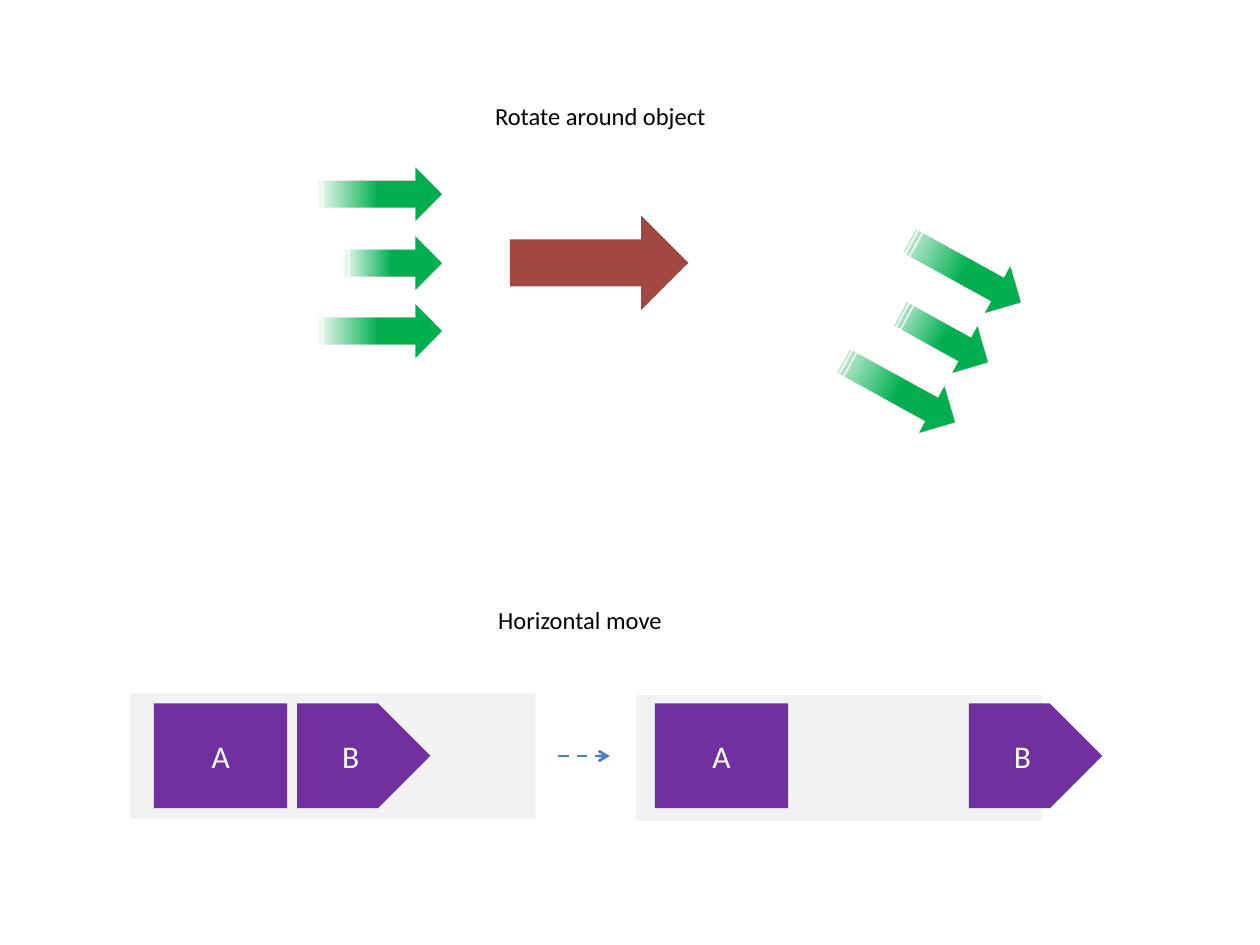
from math import cos, radians, sin

from lxml import etree
from pptx import Presentation
from pptx.dml.color import RGBColor
from pptx.enum.dml import MSO_LINE_DASH_STYLE as DASH
from pptx.enum.shapes import MSO_CONNECTOR, MSO_SHAPE as SHAPE
from pptx.enum.text import MSO_ANCHOR, MSO_AUTO_SIZE, PP_ALIGN
from pptx.oxml import parse_xml
from pptx.oxml.ns import nsdecls, qn
from pptx.util import Pt

FONT = "Calibri"
GREEN, PURPLE, RED = "00B050", "7030A0", "A34742"
GREY, BLUE, WHITE, BLACK = "F2F2F2", "4B7EBC", "FFFFFF", "000000"

ARROW_H, ARROW_STEP = 30.2, 39.2
ARROW_LENGTHS = (72, 56.9, 72)
BLOCK_TOP, BLOCK_W, BLOCK_H = 402, 76.2, 59.8


def color(hex_code):
    return RGBColor.from_string(hex_code)


def format_text(tf, size, hex_code):
    p = tf.paragraphs[0]
    p.font.name, p.font.size = FONT, Pt(size)
    p.font.color.rgb = color(hex_code)
    return p


def add_shape(slide, kind, x, y, w, h, fill=None, angle=0):
    sp = slide.shapes.add_shape(kind, Pt(x), Pt(y), Pt(w), Pt(h))
    sp.shadow.inherit = False
    sp.line.fill.background()
    sp.rotation = angle
    if fill:
        sp.fill.solid()
        sp.fill.fore_color.rgb = color(fill)
    return sp


def add_block(slide, kind, x, text):
    sp = add_shape(slide, kind, x, BLOCK_TOP, BLOCK_W, BLOCK_H, PURPLE)
    tf = sp.text_frame
    tf.text = text
    tf.vertical_anchor = MSO_ANCHOR.MIDDLE
    format_text(tf, 18, WHITE).alignment = PP_ALIGN.CENTER


def add_caption(slide, x, y, w, text):
    tf = slide.shapes.add_textbox(Pt(x), Pt(y), Pt(w), Pt(24.2)).text_frame
    tf.word_wrap = True
    tf.auto_size = MSO_AUTO_SIZE.SHAPE_TO_FIT_TEXT
    tf.text = text
    format_text(tf, 14, BLACK)


def fade_fill(sp, hex_code):
    """Solid from the tip to the middle, then fading out to the tail."""
    geometry = sp.element.spPr.find(qn("a:prstGeom"))
    geometry.addnext(parse_xml(
        f'<a:gradFill {nsdecls("a")} rotWithShape="1"><a:gsLst>'
        f'<a:gs pos="0"><a:srgbClr val="{hex_code}"/></a:gs>'
        f'<a:gs pos="50000"><a:srgbClr val="{hex_code}"/></a:gs>'
        f'<a:gs pos="100000"><a:srgbClr val="{hex_code}"><a:alpha val="0"/>'
        '</a:srgbClr></a:gs></a:gsLst>'
        '<a:lin ang="10800000" scaled="0"/></a:gradFill>'))


def add_fading_arrows(slide, tip_x, tip_y, angle=0):
    """Three arrows with aligned tips, turned together about the middle tip."""
    c, s = cos(radians(angle)), sin(radians(angle))
    for i, length in enumerate(ARROW_LENGTHS):
        dx, dy = -length / 2, (i - 1) * ARROW_STEP
        x = tip_x + dx * c - dy * s - length / 2
        y = tip_y + dx * s + dy * c - ARROW_H / 2
        sp = add_shape(slide, SHAPE.STRIPED_RIGHT_ARROW, x, y, length, ARROW_H,
                       angle=angle)
        fade_fill(sp, GREEN)


def add_dashed_arrow(slide, x1, x2, y):
    cxn = slide.shapes.add_connector(
        MSO_CONNECTOR.STRAIGHT, Pt(x1), Pt(y), Pt(x2), Pt(y))
    cxn.line.color.rgb = color(BLUE)
    cxn.line.width = Pt(1.5)
    cxn.line.dash_style = DASH.DASH
    etree.SubElement(cxn.line._get_or_add_ln(), qn("a:tailEnd"), type="arrow")
    etree.SubElement(cxn.element.spPr, qn("a:effectLst"))


def main():
    prs = Presentation()
    prs.slide_width, prs.slide_height = Pt(720), Pt(540)
    slide = prs.slides.add_slide(prs.slide_layouts[6])

    # Tracks behind the blocks
    for x, y in ((363.5, 397.2), (74.2, 396)):
        add_shape(slide, SHAPE.RECTANGLE, x, y, 231.8, 72, GREY)

    # Arrows before and after the rotation
    add_fading_arrows(slide, 252.3, 150.2)
    add_fading_arrows(slide, 564.5, 206.8, 28.7)

    # Blocks before and after the move
    for x_a, x_b in ((88, 169.8), (374.2, 553.7)):
        add_block(slide, SHAPE.RECTANGLE, x_a, "A")
        add_block(slide, SHAPE.PENTAGON, x_b, "B")

    # Captions
    add_caption(slide, 275.8, 54, 165.6, "Rotate around object")
    add_caption(slide, 277.6, 342, 134.6, "Horizontal move")

    # Move arrow and the object to rotate around
    add_dashed_arrow(slide, 319, 348.5, 432)
    add_shape(slide, SHAPE.DOWN_ARROW, 315.4, 99.2, 54, 102, RED, 270)

    prs.save("out.pptx")


if __name__ == "__main__":
    main()
